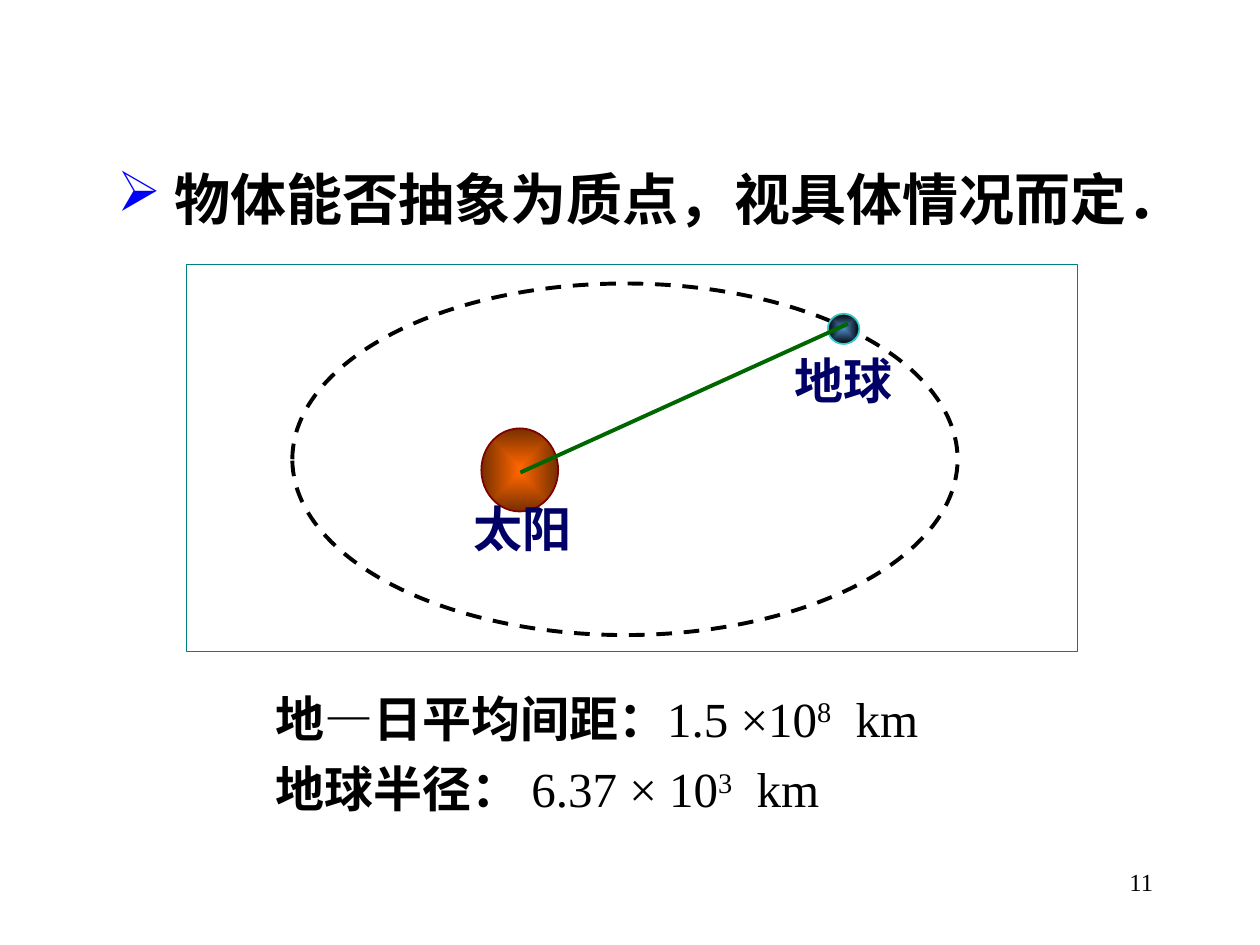
from lxml import etree
from pptx import Presentation
from pptx.dml.color import RGBColor
from pptx.enum.dml import MSO_LINE
from pptx.enum.shapes import MSO_CONNECTOR, MSO_SHAPE
from pptx.enum.text import MSO_ANCHOR, MSO_AUTO_SIZE, PP_ALIGN
from pptx.oxml import parse_xml
from pptx.oxml.ns import nsdecls, qn
from pptx.util import Inches, Pt

RECT, OVAL = MSO_SHAPE.RECTANGLE, MSO_SHAPE.OVAL
LEFT, RIGHT = PP_ALIGN.LEFT, PP_ALIGN.RIGHT
TOP, GROW = MSO_ANCHOR.TOP, MSO_AUTO_SIZE.SHAPE_TO_FIT_TEXT
DASH, STRAIGHT = MSO_LINE.DASH, MSO_CONNECTOR.STRAIGHT
CJK, SERIF = "Noto Sans CJK SC", "Times New Roman"
COLORS = {
    "white": "FFFFFF", "black": "000000", "bullet": "0000FF", "frame": "008080",
    "label": "000066", "radius": "006600", "earth_line": "33CCCC",
    "earth_mid": "4C88C4", "sun_line": "800000", "sun_mid": "FF6600",
    "sun_edge": "762F00",
}


def rgb(name):
    return RGBColor.from_string(COLORS[name])


def add_run(p, text, color="black", baseline=0, **fmt):
    """Append a run with Latin and East Asian fonts and an optional raised baseline."""
    r = p.add_run()
    r.text = text
    for key, value in fmt.items():
        setattr(r.font, key, value)
    r.font.color.rgb = rgb(color)
    rPr = r.font._element
    etree.SubElement(rPr, qn("a:ea")).set("typeface", CJK)
    if baseline:
        rPr.set("baseline", str(baseline * 1000))


prs = Presentation()
prs.slide_width, prs.slide_height = Inches(10), Inches(7.5)
s = prs.slides.add_slide(prs.slide_layouts[5])

# Heading
title = s.shapes.title
title.left, title.top, title.width, title.height = map(Inches, (0.83, 1.15, 8.86, 0.74))
title.fill.solid()
title.fill.fore_color.rgb = rgb("white")
tf = title.text_frame
tf.word_wrap, tf.auto_size, tf.vertical_anchor = True, GROW, TOP
p = tf.paragraphs[0]
pPr = p._p.get_or_add_pPr()
clr = etree.SubElement(pPr, qn("a:buClr"))
etree.SubElement(clr, qn("a:srgbClr")).set("val", COLORS["bullet"])
etree.SubElement(pPr, qn("a:buChar")).set("char", "➢")
p.alignment, p.line_spacing = LEFT, 1.2
add_run(p, " 物体能否抽象为质点，视具体情况而定．", name="Arial", size=Pt(32), bold=True)

# Frame, orbit, earth and sun
bodies = [
    (RECT, (1.48, 2.1, 7.07, 3.07), "white", "frame", 0.75),
    (OVAL, (2.32, 2.25, 5.28, 2.79), None, "black", 2.25),
    (OVAL, (6.57, 2.49, 0.25, 0.24), ("earth_mid", "black"), "earth_line", 1),
    (OVAL, (3.82, 3.4, 0.61, 0.66), ("sun_mid", "sun_edge"), "sun_line", 1),
]
for kind, box, fill, line, weight in bodies:
    sp = s.shapes.add_shape(kind, *map(Inches, box))
    sp.shadow.inherit = False
    sp.line.color.rgb = rgb(line)
    sp.line.width = Pt(weight)
    if fill is None:
        sp.fill.background()
        sp.line.dash_style = DASH
    elif isinstance(fill, str):
        sp.fill.solid()
        sp.fill.fore_color.rgb = rgb(fill)
    else:
        sp.fill.gradient()
        stops = "".join(
            f'<a:gs pos="{pos}"><a:srgbClr val="{COLORS[c]}"/></a:gs>'
            for pos, c in zip((0, 100000), fill))
        grad = sp._element.spPr.find(qn("a:gradFill"))
        grad.getparent().replace(grad, parse_xml(
            f'<a:gradFill {nsdecls("a")} rotWithShape="1"><a:gsLst>{stops}</a:gsLst>'
            '<a:path path="rect"><a:fillToRect l="50000" t="50000" r="50000" b="50000"/>'
            '</a:path></a:gradFill>'))

radius = s.shapes.add_connector(STRAIGHT, *map(Inches, (4.13, 3.75, 6.73, 2.57)))
radius.line.color.rgb = rgb("radius")
radius.line.width = Pt(2.25)
etree.SubElement(radius._element.spPr, qn("a:effectLst"))

# Labels, distances and slide number
label = {"name": SERIF, "size": Pt(28), "bold": True, "color": "label"}
term = {"name": CJK, "size": Pt(28), "bold": True}
value = {"name": SERIF, "size": Pt(28), "bold": False}
power = {**value, "baseline": 30}
number = {"name": SERIF, "size": Pt(14)}
texts = [
    ((3.66, 3.91, 1.35, 0.57), LEFT, None, [[("太阳", label)]]),
    ((6.21, 2.73, 1.07, 0.57), LEFT, None, [[("地球", label)]]),
    ((2.09, 5.32, 6.46, 1.22), LEFT, 1.2, [
        [("地—日平均间距：", term), ("1.5 ×10", value), ("8", power), ("  km", value)],
        [("地球半径： ", term), ("6.37 × 10", value), ("3", power), ("  km", value)],
    ]),
    ((7.17, 6.83, 2.08, 0.5), RIGHT, None, [[("11", number)]]),
]
for box, align, spacing, lines in texts:
    tf = s.shapes.add_textbox(*map(Inches, box)).text_frame
    tf.word_wrap = True
    for i, runs in enumerate(lines):
        p = tf.add_paragraph() if i else tf.paragraphs[0]
        p.alignment, p.line_spacing = align, spacing
        for text, fmt in runs:
            add_run(p, text, **fmt)

prs.save("out.pptx")
